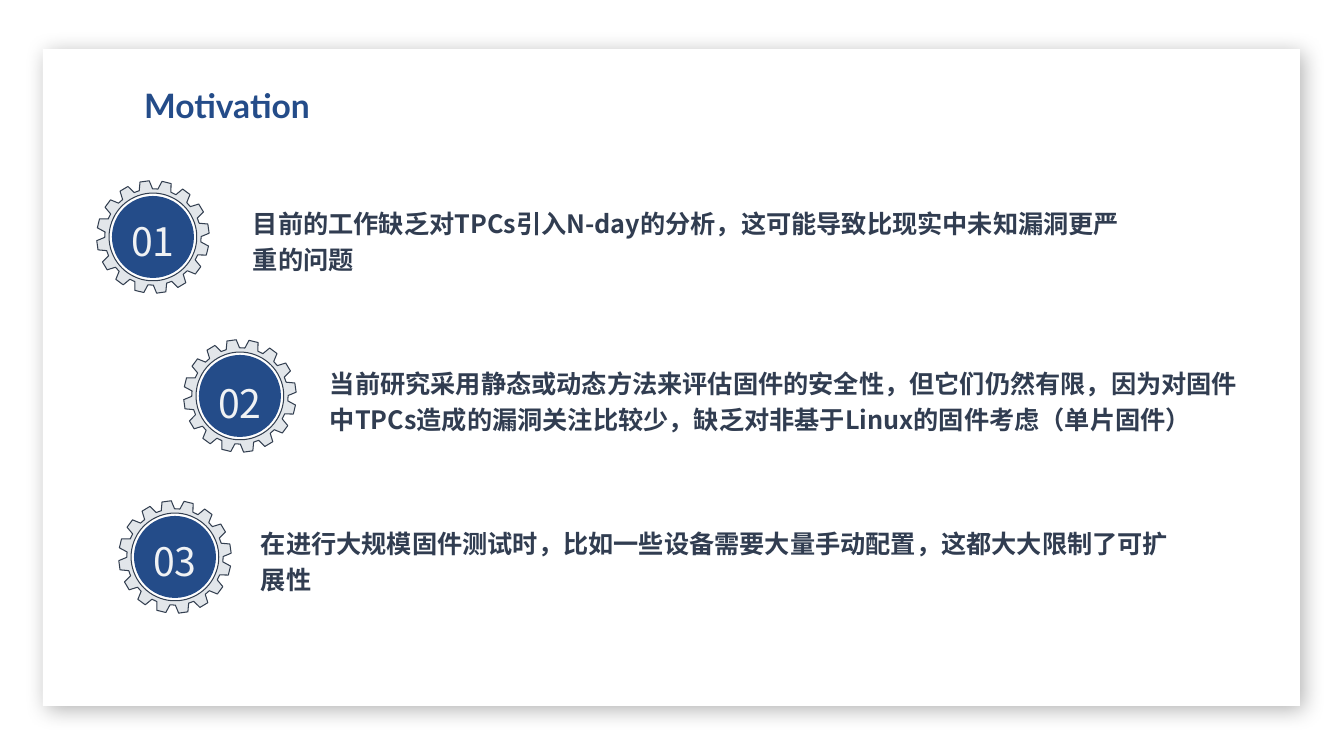
from math import cos, radians, sin

from lxml.etree import SubElement
from pptx import Presentation
from pptx.dml.color import RGBColor
from pptx.enum.shapes import MSO_SHAPE
from pptx.enum.text import MSO_ANCHOR, MSO_AUTO_SIZE, PP_ALIGN
from pptx.oxml import parse_xml
from pptx.oxml.ns import nsdecls, qn
from pptx.util import Emu, Pt

EMU_PER_PX = 914400 / 100.8
COLORS = {
    "card": "FFFFFF",
    "blue": "244C89",
    "text": "313D51",
    "gear": "E2E6EA",
    "gear_line": "333F50",
    "number": "F0F2F4",
}
CJK_FONT = "Noto Sans CJK SC"
TEETH = 16
TOOTH_PROFILE = [(-8, 478), (-4.7, 559), (4.7, 559), (8, 478)]
HOLE_RADIUS = 435
DISC_RADIUS = 41
ITEMS = [
    ("01", 153, 237, 203, 253, 880,
     "目前的工作缺乏对TPCs引入N-day的分析，这可能导致比现实中未知漏洞更严重的问题"),
    ("02", 240, 396, 365, 330, 921,
     "当前研究采用静态或动态方法来评估固件的安全性，但它们仍然有限，因为对固件中TPCs造成的漏洞关注比较少，缺乏对非基于Linux的固件考虑（单片固件）"),
    ("03", 175, 557, 523, 261, 921,
     "在进行大规模固件测试时，比如一些设备需要大量手动配置，这都大大限制了可扩展性"),
]


def px(*lengths):
    return [Emu(round(length * EMU_PER_PX)) for length in lengths]


def write(shape, text, size, color, font_name, bold=False, align=PP_ALIGN.LEFT):
    para = shape.text_frame.paragraphs[0]
    para.text = text
    para.alignment = align
    para.line_spacing = 1.2
    para.font.size = Pt(size)
    para.font.bold = bold
    para.font.color.rgb = RGBColor.from_string(COLORS[color])
    para.font.name = font_name
    SubElement(para._p.pPr.defRPr, qn("a:ea"), typeface=font_name)


deck = Presentation()
deck.slide_width, deck.slide_height = px(1344, 756)
page = deck.slides.add_slide(deck.slide_layouts[5])

title = page.shapes.title
title.left, title.top, title.width, title.height = px(134, 72, 276, 54)
title.text_frame.auto_size = MSO_AUTO_SIZE.NONE
title.text_frame.vertical_anchor = MSO_ANCHOR.TOP
write(title, "Motivation", 24, "blue", "Lato", bold=True)

card = page.shapes.add_shape(MSO_SHAPE.RECTANGLE, *px(43, 49, 1257, 657))
card.fill.solid()
card.fill.fore_color.rgb = RGBColor.from_string(COLORS["card"])
card.line.fill.background()
card._element.spPr.append(parse_xml(
    f'<a:effectLst {nsdecls("a")}>'
    '<a:outerShdw blurRad="190500" dist="63500" dir="2700000" algn="tl" rotWithShape="0">'
    '<a:srgbClr val="000000"><a:alpha val="30000"/></a:srgbClr>'
    '</a:outerShdw></a:effectLst>'
))
title._element.addprevious(card._element)

teeth_points = [
    (radius * 1.008 * cos(radians(angle)), radius * 1.008 * sin(radians(angle)))
    for tooth in range(TEETH)
    for offset, radius in TOOTH_PROFILE
    for angle in [-76 + tooth * 360 / TEETH + offset]
]
hole_points = [
    (HOLE_RADIUS * 1.008 * cos(radians(angle)), HOLE_RADIUS * 1.008 * sin(radians(angle)))
    for angle in range(0, -360, -5)
]

for number, center_x, center_y, number_top, text_left, text_width, text in ITEMS:
    builder = page.shapes.build_freeform(*teeth_points[0], scale=EMU_PER_PX / 10)
    builder.add_line_segments(teeth_points[1:], close=True)
    builder.move_to(*hole_points[0])
    builder.add_line_segments(hole_points[1:], close=True)
    gear = builder.convert_to_shape(*px(center_x, center_y))
    gear.shadow.inherit = False
    gear.fill.solid()
    gear.fill.fore_color.rgb = RGBColor.from_string(COLORS["gear"])
    gear.line.color.rgb = RGBColor.from_string(COLORS["gear_line"])
    gear.line.width = Pt(0.75)

    disc = page.shapes.add_shape(
        MSO_SHAPE.OVAL,
        *px(center_x - DISC_RADIUS, center_y - DISC_RADIUS, 2 * DISC_RADIUS, 2 * DISC_RADIUS),
    )
    disc.shadow.inherit = False
    disc.fill.solid()
    disc.fill.fore_color.rgb = RGBColor.from_string(COLORS["blue"])
    disc.line.fill.background()

    number_box = page.shapes.add_textbox(*px(center_x - 33, number_top, 66, 62))
    number_box.text_frame.word_wrap = False
    write(number_box, number, 28, "number", CJK_FONT, align=PP_ALIGN.CENTER)

    text_top = 202 + 160 * (int(number) - 1)
    text_box = page.shapes.add_textbox(*px(text_left, text_top, text_width, 71))
    frame = text_box.text_frame
    frame.word_wrap = True
    frame.margin_left = frame.margin_top = frame.margin_right = frame.margin_bottom = 0
    write(text_box, text, 18, "text", CJK_FONT, bold=True)

deck.save("out.pptx")
